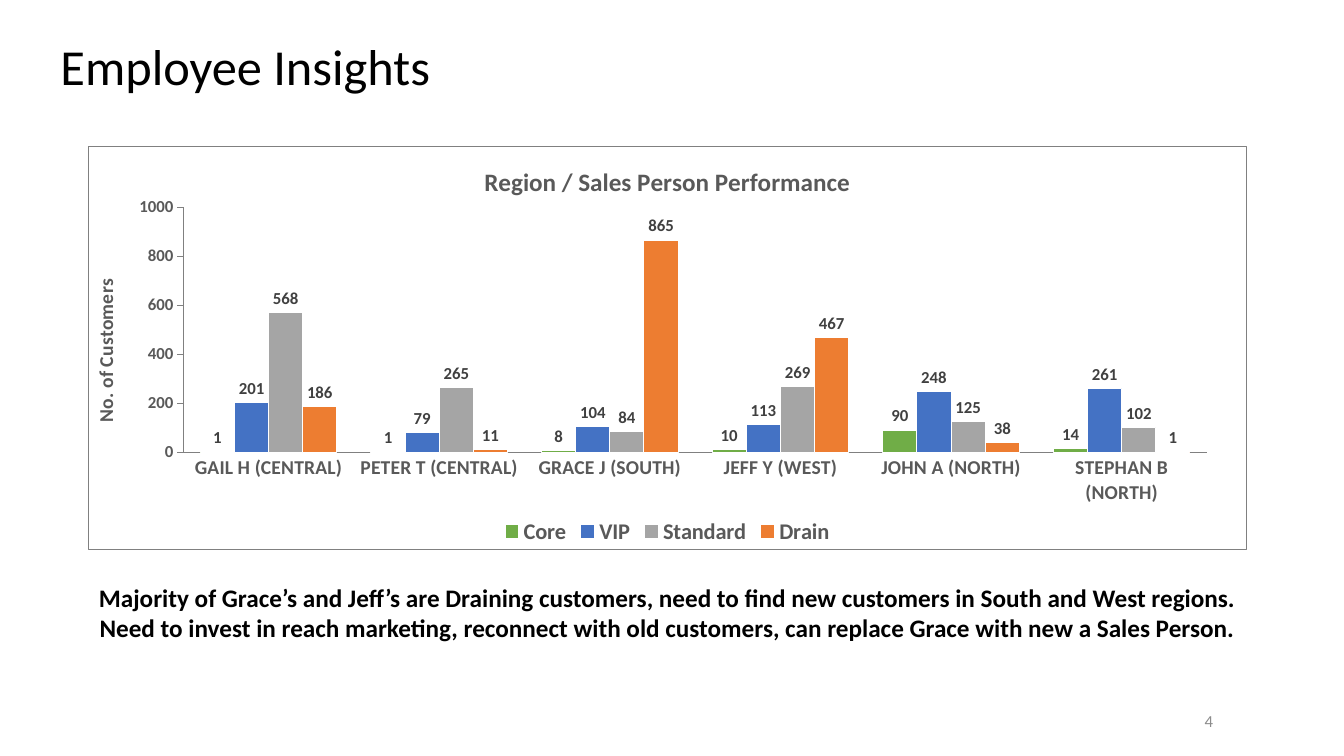
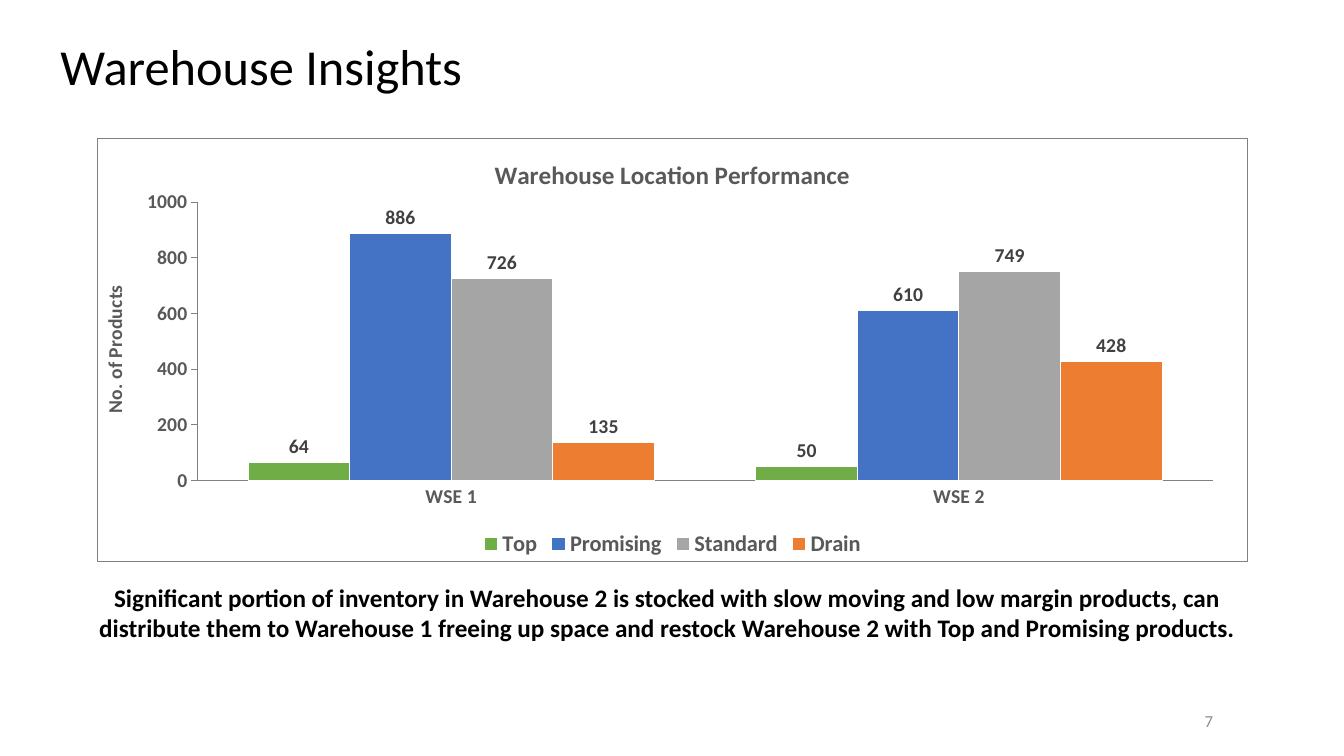
import dataclasses
import pptx
import pptx.chart.data
import pptx.dml.color
import pptx.enum.chart
import pptx.enum.text
import pptx.oxml
import pptx.oxml.ns
import pptx.util

# Shared look
FONT = "Calibri"
HUES = {
    "ink": "000000", "page": "8C8C8C", "axis": "595959", "label": "404040",
    "rule": "808080", "edge": "FFFFFF",
}
BARS = ["70AD47", "4472C4", "A5A5A5", "ED7D31"]
HAIR = pptx.util.Pt(0.75)
WIDE, HIGH = pptx.util.Inches(13.33), pptx.util.Inches(7.5)


@dataclasses.dataclass
class Box:
    """A frame in percent of the slide's width and height."""
    left: float
    top: float
    width: float
    height: float

    def emu(self) -> tuple[int, int, int, int]:
        return (round(self.left * WIDE / 100), round(self.top * HIGH / 100),
                round(self.width * WIDE / 100), round(self.height * HIGH / 100))


@dataclasses.dataclass
class Page:
    number: int
    title: str
    note: str
    head: str
    unit: str
    names: list[str]
    rows: dict[str, list[int]]
    frame: Box
    plot: Box  # percent of the chart
    scale: int  # size of value axis and data labels


TITLE = Box(3.75, 4.67, 86.25, 8.93)
NOTE = Box(6.53, 76.4, 86.25, 9.47)
NUMBER = Box(68.5, 92.67, 22.5, 5.33)

PAGES = [
    Page(4, "Employee Insights",
         "Majority of Grace’s and Jeff’s are Draining customers, need to find new "
         "customers in South and West regions. Need to invest in reach marketing, "
         "reconnect with old customers, can replace Grace with new a Sales Person.",
         "Region / Sales Person Performance", "No. of Customers",
         ["GAIL H (CENTRAL)", "PETER T (CENTRAL)", "GRACE J (SOUTH)",
          "JEFF Y (WEST)", "JOHN A (NORTH)", "STEPHAN B (NORTH)"],
         {"Core": [1, 1, 8, 10, 90, 14],
          "VIP": [201, 79, 104, 113, 248, 261],
          "Standard": [568, 265, 84, 269, 125, 102],
          "Drain": [186, 11, 865, 467, 38, 1]},
         Box(6.53, 19.33, 86.25, 53.47), Box(8.2, 15, 88.4, 60.8), 12),
    Page(7, "Warehouse Insights",
         "Significant portion of inventory in Warehouse 2 is stocked with slow moving "
         "and low margin products, can distribute them to Warehouse 1 freeing up space "
         "and restock Warehouse 2 with Top and Promising products.",
         "Warehouse Location Performance", "No. of Products",
         ["WSE 1", "WSE 2"],
         {"Top": [64, 50], "Promising": [886, 610],
          "Standard": [726, 749], "Drain": [135, 428]},
         Box(7.2, 18.27, 85.65, 56.13), Box(8.7, 15, 88.3, 65.8), 14),
]


def tint(code: str) -> pptx.dml.color.RGBColor:
    return pptx.dml.color.RGBColor.from_string(code)


def style(font, size: float, hue: str, bold: bool = False) -> None:
    font.name, font.size, font.bold = FONT, pptx.util.Pt(size), bold
    font.color.rgb = tint(HUES[hue])


def stroke(line, hue: str) -> None:
    line.color.rgb = tint(HUES[hue])
    line.width = HAIR


def write(shape, box: Box, text: str, size: float, hue: str, align: str,
          bold: bool = False, anchor: str = "MIDDLE"):
    shape.left, shape.top, shape.width, shape.height = box.emu()
    frame = shape.text_frame
    frame.word_wrap = True
    frame.auto_size = pptx.enum.text.MSO_AUTO_SIZE.NONE
    frame.vertical_anchor = pptx.enum.text.MSO_ANCHOR[anchor]
    frame.text = text
    para = frame.paragraphs[0]
    para.alignment = pptx.enum.text.PP_ALIGN[align]
    style(para.runs[0].font, size, hue, bold)
    return para


def label(owner, text: str, size: float) -> None:
    """Title of a chart or an axis."""
    frame = owner.text_frame
    frame.text = text
    style(frame.paragraphs[0].runs[0].font, size, "axis", True)


def place(chart, plot: Box) -> None:
    """Fix the inner plot area and outline the chart."""
    space = pptx.oxml.ns.nsdecls("c", "a")
    area = chart._chartSpace.chart.plotArea
    for old in area.findall(pptx.oxml.ns.qn("c:layout")):
        area.remove(old)
    spots = zip("xywh", dataclasses.astuple(plot))
    parts = "".join(f'<c:{key} val="{val / 100:.3f}"/>' for key, val in spots)
    area.insert(0, pptx.oxml.parse_xml(
        f'<c:layout {space}><c:manualLayout><c:layoutTarget val="inner"/>'
        f'<c:xMode val="edge"/><c:yMode val="edge"/>{parts}'
        '</c:manualLayout></c:layout>'))
    chart._chartSpace.chart.addnext(pptx.oxml.parse_xml(
        f'<c:spPr {space}><a:noFill/><a:ln w="{HAIR}"><a:solidFill>'
        f'<a:srgbClr val="{HUES["rule"]}"/></a:solidFill></a:ln></c:spPr>'))


def graph(slide, page: Page) -> None:
    enum = pptx.enum.chart
    data = pptx.chart.data.CategoryChartData()
    data.categories = page.names
    for name, vals in page.rows.items():
        data.add_series(name, vals)
    chart = slide.shapes.add_chart(
        enum.XL_CHART_TYPE.COLUMN_CLUSTERED, *page.frame.emu(), data).chart
    style(chart.font, 10, "ink")
    chart.has_title = True
    label(chart.chart_title, page.head, 18)

    # Axes
    cat, val = chart.category_axis, chart.value_axis
    cat.major_tick_mark = enum.XL_TICK_MARK.NONE
    val.major_tick_mark = enum.XL_TICK_MARK.OUTSIDE
    val.minimum_scale, val.maximum_scale, val.major_unit = 0, 1000, 200
    val.has_major_gridlines = False
    label(val.axis_title, page.unit, 14)
    for axis, size in ((cat, 14), (val, page.scale)):
        style(axis.tick_labels.font, size, "axis", True)
        stroke(axis.format.line, "rule")

    # Legend
    chart.has_legend = True
    chart.legend.position = enum.XL_LEGEND_POSITION.BOTTOM
    chart.legend.include_in_layout = False
    style(chart.legend.font, 16, "axis", True)

    # Columns
    plot = chart.plots[0]
    plot.gap_width, plot.overlap, plot.vary_by_categories = 100, 0, False
    for row, code in zip(plot.series, BARS):
        row.invert_if_negative = False
        row.format.fill.solid()
        row.format.fill.fore_color.rgb = tint(code)
        stroke(row.format.line, "edge")
        marks = row.data_labels
        marks.show_value = True
        marks.position = enum.XL_LABEL_POSITION.OUTSIDE_END
        style(marks.font, page.scale, "label", True)
    place(chart, page.plot)


def draw(deck, page: Page) -> None:
    slide = deck.slides.add_slide(deck.slide_layouts[5])
    head = write(slide.shapes.title, TITLE, page.title, 36, "ink", "LEFT")
    head.line_spacing = 0.9
    graph(slide, page)
    note = slide.shapes.add_textbox(*NOTE.emu())
    write(note, NOTE, page.note, 18, "ink", "CENTER", True, "TOP")
    num = slide.shapes.add_textbox(*NUMBER.emu())
    write(num, NUMBER, str(page.number), 12, "page", "RIGHT")


deck = pptx.Presentation()
deck.slide_width, deck.slide_height = WIDE, HIGH
for page in PAGES:
    draw(deck, page)
deck.save("out.pptx")
